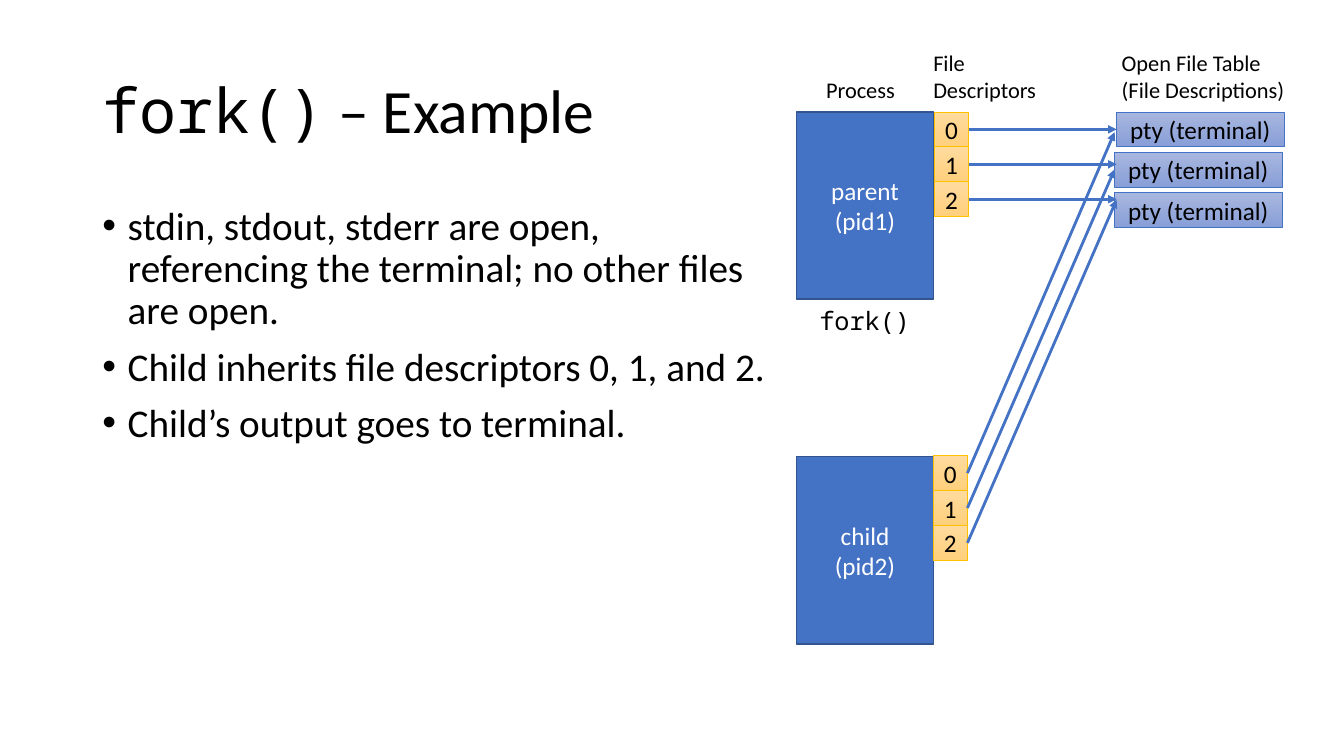
from pptx import Presentation
from pptx.util import Cm, Pt
from pptx.dml.color import RGBColor
from pptx.enum.shapes import MSO_SHAPE, MSO_CONNECTOR
from pptx.enum.text import PP_ALIGN, MSO_ANCHOR, MSO_AUTO_SIZE
from pptx.oxml.ns import qn
from lxml.etree import SubElement

# Content
SANS, MONO = "Calibri", "Noto Sans Mono"
TITLE = [("fork()", MONO), (" – Example", SANS)]
BULLETS = [
    "stdin, stdout, stderr are open, referencing the terminal; no other files are open.",
    "Child inherits file descriptors 0, 1, and 2.",
    "Child’s output goes to terminal.",
]
# Process lines, top, descriptor left, descriptor top
PROCESSES = [
    (["parent", "(pid1)"], 2.82, 23.55, 2.82),
    (["child", "(pid2)"], 11.51, 23.52, 11.48),
]
DESCRIPTORS = ["0", "1", "2"]
TERMINAL = "pty (terminal)"
# Lines, left, top, width, height, size, font, wrap
LABELS = [
    (["fork()"], 20.4, 7.57, 2.82, 1.02, 18, MONO, False),
    (["Process"], 20.57, 1.8, 2.26, 0.94, 16, SANS, False),
    (["File", "Descriptors"], 23.27, 1.12, 3.15, 1.63, 16, SANS, False),
    (["Open File Table", "(File Descriptions)"], 28.02, 1.12, 5.54, 1.63, 16, SANS, True),
]
COLORS = {
    "text": "000000", "white": "FFFFFF", "blue": "4472C4", "edge": "325491",
    "gold": "FFC000", "gold_top": "FFDB9E", "gold_end": "FFD07C",
    "pty_top": "A8B7DF", "pty_end": "889ED7",
}

# Geometry in cm
PROC_X, PROC_W, PROC_H = 20.07, 3.46, 4.72
FD_W, FD_H = 0.86, 0.88
PTY_X, PTY_Y, PTY_W, PTY_STEP = [28.14, 28.09, 28.09], 2.82, 4.22, 1.02
ARROW_X = 28.14
CHILD_ENDS = [(28.09, 3.33), (28.09, 4.27), (28.14, 5.03)]

prs = Presentation()
prs.slide_width, prs.slide_height = Cm(33.87), Cm(19.05)
s = prs.slides.add_slide(prs.slide_layouts[5])


def rgb(name):
    return RGBColor.from_string(COLORS[name])


def add_run(p, text, size, font=SANS, color="text"):
    r = p.add_run()
    r.text = text
    r.font.size, r.font.name = Pt(size), font
    r.font.color.rgb = rgb(color)


def write(tf, lines, size, font=SANS, color="text", align=PP_ALIGN.LEFT):
    for i, line in enumerate(lines):
        p = tf.add_paragraph() if i else tf.paragraphs[0]
        p.alignment = align
        add_run(p, line, size, font, color)


def add_box(lines, x, y, w, h, fills, line, width, color="text"):
    sp = s.shapes.add_shape(MSO_SHAPE.RECTANGLE, Cm(x), Cm(y), Cm(w), Cm(h))
    sp.shadow.inherit = False
    if len(fills) == 1:
        sp.fill.solid()
        sp.fill.fore_color.rgb = rgb(fills[0])
    else:
        sp.fill.gradient()
        sp.fill.gradient_angle = 270
        for stop, name in zip(sp.fill.gradient_stops, fills):
            stop.color.rgb = rgb(name)
    sp.line.color.rgb, sp.line.width = rgb(line), Pt(width)
    tf = sp.text_frame
    tf.word_wrap, tf.vertical_anchor = True, MSO_ANCHOR.MIDDLE
    write(tf, lines, 18, color=color, align=PP_ALIGN.CENTER)


def add_arrow(x1, y1, x2, y2):
    c = s.shapes.add_connector(MSO_CONNECTOR.STRAIGHT, Cm(x1), Cm(y1), Cm(x2), Cm(y2))
    c.line.color.rgb, c.line.width = rgb("blue"), Pt(2)
    SubElement(c.line._get_or_add_ln(), qn("a:tailEnd"), type="triangle")
    SubElement(c._element.spPr, qn("a:effectLst"))


def add_text(x, y, w, h, wrap=True):
    tf = s.shapes.add_textbox(Cm(x), Cm(y), Cm(w), Cm(h)).text_frame
    tf.word_wrap = wrap
    return tf


# Title
title = s.shapes.title
title.left, title.top, title.width, title.height = Cm(2.33), Cm(1.01), Cm(29.21), Cm(3.68)
tf = title.text_frame
tf.auto_size, tf.vertical_anchor = MSO_AUTO_SIZE.NONE, MSO_ANCHOR.MIDDLE
p = tf.paragraphs[0]
p.alignment, p.line_spacing = PP_ALIGN.LEFT, 0.9
for text, font in TITLE:
    add_run(p, text, 44, font)

# Bullets
tf = add_text(2.33, 5.07, 17.53, 12.09)
write(tf, BULLETS, 28)
for p in tf.paragraphs:
    p.line_spacing, p.space_before = 0.9, Pt(10)
    pPr = p._p.get_or_add_pPr()
    pPr.set("marL", str(Cm(0.64)))
    pPr.set("indent", str(Cm(-0.64)))
    SubElement(pPr, qn("a:buFont"), typeface="Arial")
    SubElement(pPr, qn("a:buChar"), char="•")

# Processes with their file descriptors
for lines, top, fd_x, fd_y in PROCESSES:
    add_box(lines, PROC_X, top, PROC_W, PROC_H, ["blue"], "edge", 1, "white")
    for i, number in enumerate(DESCRIPTORS):
        add_box([number], fd_x, fd_y + i * FD_H, FD_W, FD_H,
                ["gold_top", "gold_end"], "gold", 0.5)

# Open file table
for i, x in enumerate(PTY_X):
    add_box([TERMINAL], x, PTY_Y + i * PTY_STEP, PTY_W, FD_H,
            ["pty_top", "pty_end"], "blue", 0.5)

# Arrows from descriptors to open files
for n, (_, _, fd_x, fd_y) in enumerate(PROCESSES):
    for i, child_end in enumerate(CHILD_ENDS):
        y = fd_y + (i + 0.5) * FD_H
        add_arrow(fd_x + FD_W, y, *(child_end if n else (ARROW_X, y)))

# Labels
for lines, x, y, w, h, size, font, wrap in LABELS:
    write(add_text(x, y, w, h, wrap), lines, size, font)

prs.save("out.pptx")
